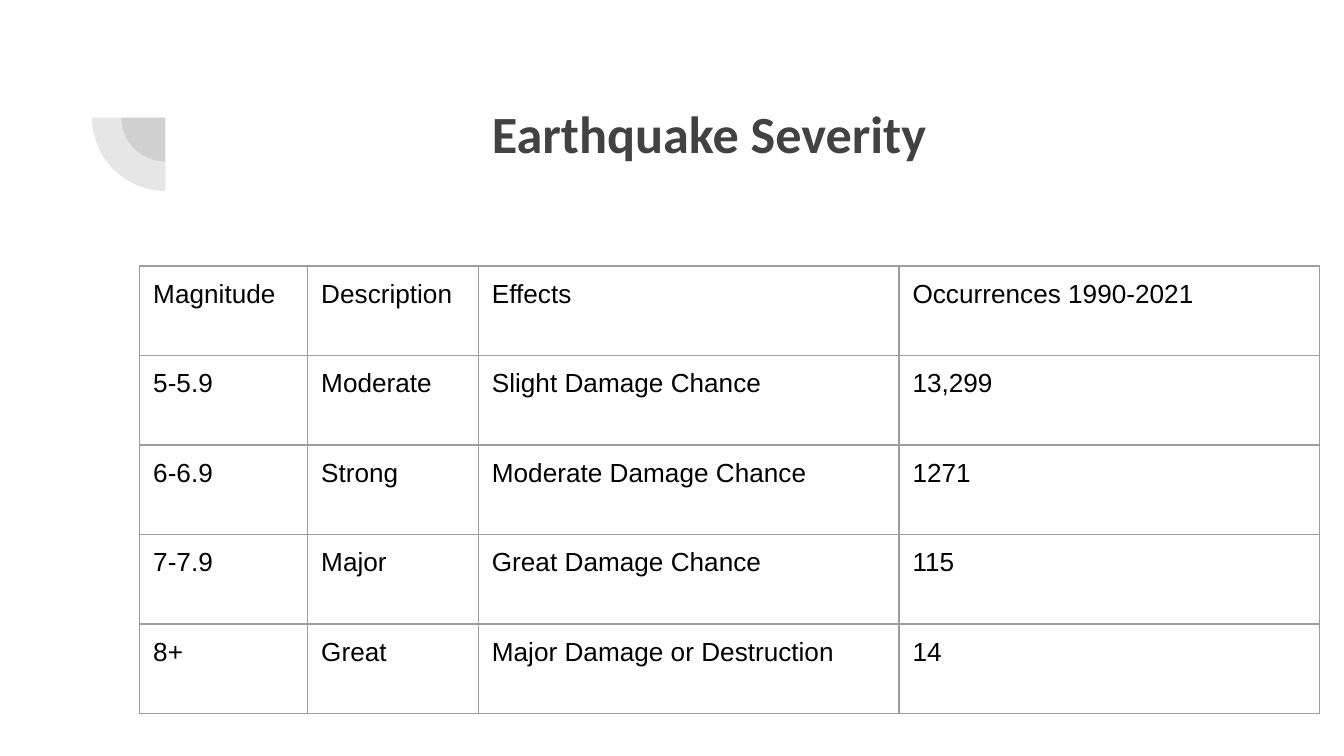
from lxml import etree
from pptx import Presentation
from pptx.dml.color import RGBColor
from pptx.enum.shapes import MSO_SHAPE
from pptx.enum.text import MSO_ANCHOR, PP_ALIGN
from pptx.oxml.ns import qn
from pptx.util import Inches, Pt

PIE = MSO_SHAPE.PIE
TOP = MSO_ANCHOR.TOP
LEFT, MID = PP_ALIGN.LEFT, PP_ALIGN.CENTER
DARK = RGBColor(0x42, 0x42, 0x42)
BLACK = RGBColor(0, 0, 0)
WHITE = RGBColor(0xFF, 0xFF, 0xFF)
GRAY = RGBColor(0x9E, 0x9E, 0x9E)
UNIT = Inches(0.1)
COLS, ROWS = 100, 56.25
PAD = 1
HEAD = {"name": "Calibri", "size": Pt(28), "bold": True}
BODY = {"name": "Arial", "size": Pt(14), "bold": False}
DATA = [
    ("Magnitude", "Description", "Effects", "Occurrences 1990-2021"),
    ("5-5.9", "Moderate", "Slight Damage Chance", "13,299"),
    ("6-6.9", "Strong", "Moderate Damage Chance", "1271"),
    ("7-7.9", "Major", "Great Damage Chance", "115"),
    ("8+", "Great", "Major Damage or Destruction", "14"),
]
SHARES = (12.5, 12.7, 31.3, 31.3)


def grid(*steps):
    """Turn grid steps into lengths."""
    return [round(step * UNIT) for step in steps]


def write(frame, text, style, color, align):
    """Set one styled paragraph in a text frame."""
    para = frame.paragraphs[0]
    para.alignment = align
    run = para.add_run()
    run.text = text
    for key, value in style.items():
        setattr(run.font, key, value)
    run.font.color.rgb = color


def inset(item):
    """Give a frame or cell equal margins and top anchoring."""
    for side in ("left", "top", "right", "bottom"):
        setattr(item, f"margin_{side}", round(PAD * UNIT))
    item.vertical_anchor = TOP


def add_arcs(slide, box):
    """Draw two clear quarter discs meeting at the box's top right corner."""
    left, top, size = box
    for share in (0.6, 1):
        rad = size * share
        disc = slide.shapes.add_shape(
            PIE, *grid(left + size - rad, top - rad, 2 * rad, 2 * rad))
        disc.adjustments[0], disc.adjustments[1] = 108, 162
        disc.rotation = 270
        disc.shadow.inherit = False
        disc.line.fill.background()
        disc.fill.solid()
        disc.fill.fore_color.rgb = DARK
        tint = disc.fill._xPr.find(qn("a:solidFill"))[0]
        etree.SubElement(tint, qn("a:alpha"), val="13000")


def add_title(slide, box):
    """Place the centred heading in its box."""
    frame = slide.shapes.add_textbox(*grid(*box)).text_frame
    frame.word_wrap = True
    inset(frame)
    write(frame, "Earthquake Severity", HEAD, DARK, MID)


def add_edges(cell):
    """Rule all four sides of a cell."""
    props = cell._tc.get_or_add_tcPr()
    for spot, side in enumerate(("lnL", "lnR", "lnT", "lnB")):
        line = etree.Element(qn(f"a:{side}"), w=str(Pt(0.75)))
        fill = etree.SubElement(line, qn("a:solidFill"))
        etree.SubElement(fill, qn("a:srgbClr"), val=str(GRAY))
        props.insert(spot, line)


def add_grid(slide, box):
    """Fill the box with the severity table."""
    left, top, width, height = box
    table = slide.shapes.add_table(
        len(DATA), len(SHARES), *grid(left, top, width, height)).table
    table.first_row = table.horz_banding = False
    for col, share in zip(table.columns, SHARES):
        col.width = round(width * share / sum(SHARES) * UNIT)
    for row, texts in zip(table.rows, DATA):
        row.height = round(height / len(DATA) * UNIT)
        for cell, text in zip(row.cells, texts):
            cell.fill.solid()
            cell.fill.fore_color.rgb = WHITE
            inset(cell)
            add_edges(cell)
            write(cell.text_frame, text, BODY, BLACK, LEFT)


def main():
    """Build and save the slide."""
    deck = Presentation()
    deck.slide_width, deck.slide_height = grid(COLS, ROWS)
    slide = deck.slides.add_slide(deck.slide_layouts[6])
    add_arcs(slide, (6.85, 8.75, 5.45))
    add_title(slide, (14.3, 6.5, 76.9, 10.9))
    add_grid(slide, (10.4, 19.8, sum(SHARES), 33.3))
    deck.save("out.pptx")


if __name__ == "__main__":
    main()
